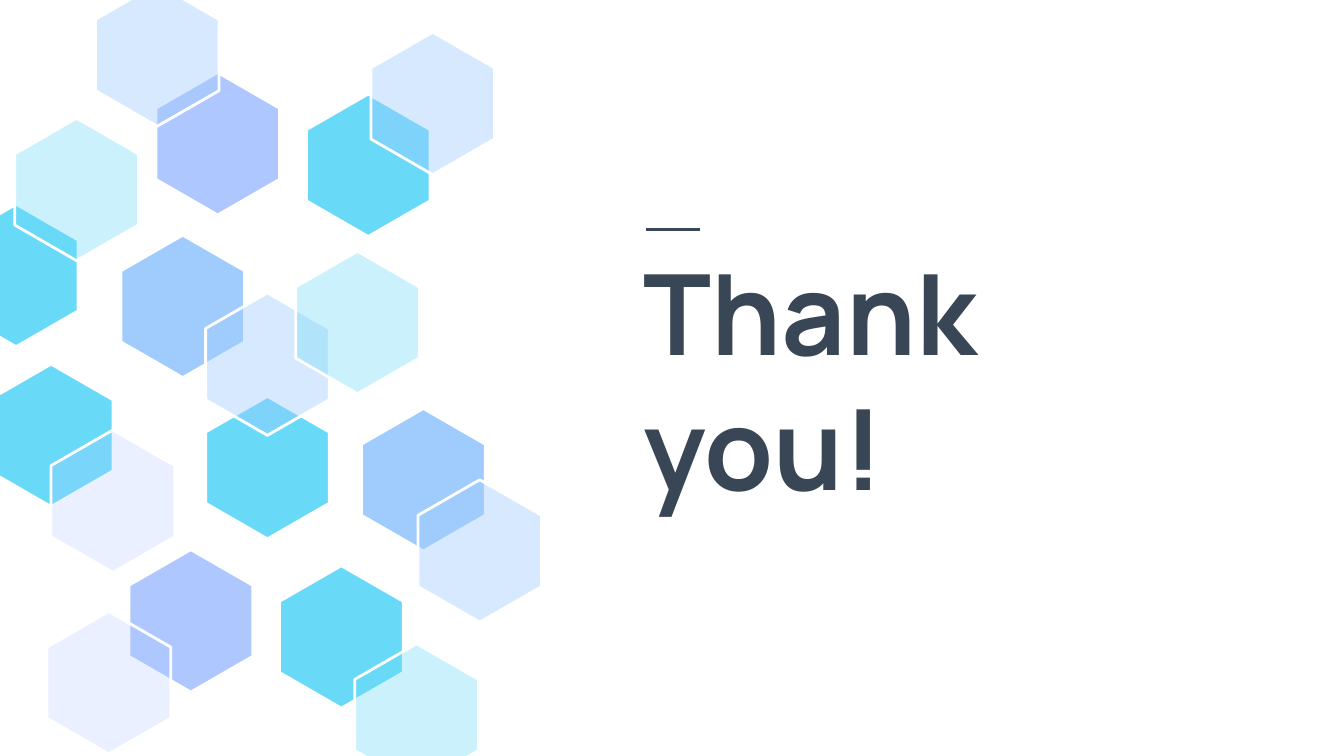
"""Build a closing slide with a hexagon pattern and a thank-you title."""
from lxml.etree import SubElement
from pptx import Presentation
from pptx.dml.color import RGBColor
from pptx.enum.shapes import MSO_CONNECTOR
from pptx.enum.text import MSO_ANCHOR, MSO_AUTO_SIZE, PP_ALIGN
from pptx.oxml.ns import qn
from pptx.util import Inches, Pt

SKY, BLUE, PERIWINKLE = "68DAF8", "9FCBFD", "AFC7FF"
DARK, WHITE = "384655", "FFFFFF"
HEXAGON_WIDTH, HEXAGON_HEIGHT = 0.92, 1.06
HEXAGON_POINTS = [(0.5, 0), (0, 0.25), (0, 0.75), (0.5, 1), (1, 0.75), (1, 0.25)]
HEXAGONS = [
    (2.28, 0.7, SKY, 100),
    (1.53, 2.95, SKY, 100),
    (1.16, 0.54, PERIWINKLE, 100),
    (0.71, -0.12, BLUE, 41),
    (0.9, 1.75, BLUE, 100),
    (1.53, 2.18, BLUE, 41),
    (2.2, 1.87, SKY, 34),
    (-0.08, 2.71, SKY, 100),
    (0.96, 4.09, PERIWINKLE, 100),
    (0.35, 4.55, PERIWINKLE, 25),
    (2.69, 3.04, BLUE, 100),
    (3.11, 3.57, BLUE, 41),
    (2.08, 4.21, SKY, 100),
    (2.64, 4.79, SKY, 34),
    (0.38, 3.2, PERIWINKLE, 25),
    (2.76, 0.24, BLUE, 41),
    (-0.34, 1.52, SKY, 100),
    (0.11, 0.88, SKY, 34),
]


def paint(color_format, color):
    color_format.rgb = RGBColor.from_string(color)


presentation = Presentation()
presentation.slide_width = Inches(10)
presentation.slide_height = presentation.slide_width * 9 // 16
slide = presentation.slides.add_slide(presentation.slide_layouts[5])
slide.background.fill.solid()
paint(slide.background.fill.fore_color, WHITE)

title = slide.shapes.title
title_box = {"left": 4.69, "top": 1.82, "width": 4.53, "height": 1.99}
for name, value in title_box.items():
    setattr(title, name, Inches(value))
frame = title.text_frame
frame.text = "Thank you!"
frame_format = {
    "word_wrap": True,
    "auto_size": MSO_AUTO_SIZE.NONE,
    "vertical_anchor": MSO_ANCHOR.MIDDLE,
    **{f"margin_{side}": Inches(0.1) for side in ("left", "top", "right", "bottom")},
}
for name, value in frame_format.items():
    setattr(frame, name, value)
paragraph = frame.paragraphs[0]
paragraph.alignment = PP_ALIGN.LEFT
paragraph.line_spacing = 1.0
font = paragraph.runs[0].font
for name, value in {"name": "Manrope", "size": Pt(60), "bold": True}.items():
    setattr(font, name, value)
paint(font.color, DARK)

for left, top, color, opacity in HEXAGONS:
    corners = [
        (Inches(left + x * HEXAGON_WIDTH), Inches(top + y * HEXAGON_HEIGHT))
        for x, y in HEXAGON_POINTS
    ]
    builder = slide.shapes.build_freeform(*corners[0])
    builder.add_line_segments(corners[1:], close=True)
    hexagon = builder.convert_to_shape()
    hexagon.shadow.inherit = False
    hexagon.fill.solid()
    paint(hexagon.fill.fore_color, color)
    if opacity < 100:
        color_element = hexagon.element.spPr.find(qn("a:solidFill"))[0]
        SubElement(color_element, qn("a:alpha"), val=str(opacity * 1000))
    hexagon.line.width = Pt(1.5)
    paint(hexagon.line.color, WHITE)

accent = slide.shapes.add_connector(
    MSO_CONNECTOR.STRAIGHT, Inches(4.81), Inches(1.71), Inches(5.21), Inches(1.71)
)
accent.line.width = Pt(1.5)
paint(accent.line.color, DARK)
SubElement(accent.element.spPr, qn("a:effectLst"))

presentation.save("out.pptx")
